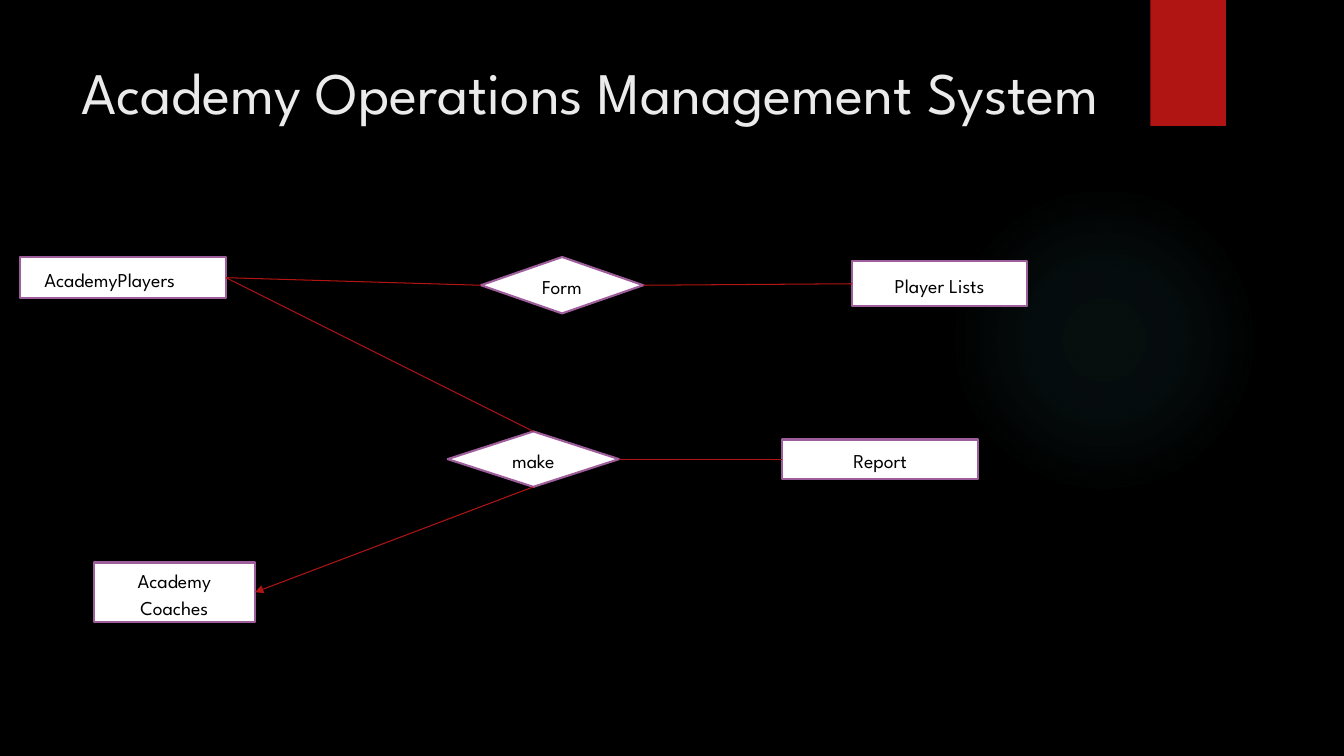
from dataclasses import dataclass

from lxml.etree import SubElement
from pptx import Presentation
from pptx.dml.color import RGBColor
from pptx.enum.shapes import MSO_CONNECTOR as Connector, MSO_SHAPE as Preset
from pptx.enum.text import MSO_ANCHOR as Anchor, MSO_AUTO_SIZE as AutoSize, PP_ALIGN as Align
from pptx.oxml import parse_xml
from pptx.oxml.ns import nsdecls, qn
from pptx.util import Inches, Pt

TOP, LEFT, BOTTOM, RIGHT = range(4)


@dataclass(frozen=True)
class Theme:
    font: str = "League Spartan"
    background: str = "000000"
    title: str = "EBEBEB"
    accent: str = "B01513"
    glow: str = "50B9C1"
    box_fill: str = "FFFFFF"
    box_line: str = "9E5E9B"
    box_text: str = "000000"
    title_size: float = 42
    box_size: float = 14
    box_line_width: float = 1.5
    link_width: float = 0.75


@dataclass(frozen=True)
class Node:
    text: str
    left: float
    top: float
    width: float
    height: float
    preset: Preset = Preset.RECTANGLE
    align: Align = Align.CENTER
    inset: float = 0.1


@dataclass(frozen=True)
class Link:
    start: str
    start_side: int
    end: str
    end_side: int
    arrow: bool = False


THEME = Theme()

NODES = [
    Node("AcademyPlayers", 0.2, 2.55, 2.04, 0.41, align=Align.LEFT, inset=0.24),
    Node("Academy Coaches", 0.93, 5.58, 1.6, 0.59),
    Node("Player Lists", 8.45, 2.59, 1.74, 0.45),
    Node("Form", 4.77, 2.55, 1.61, 0.56, Preset.DIAMOND),
    Node("make", 4.44, 4.28, 1.7, 0.55, Preset.DIAMOND),
    Node("Report", 7.76, 4.36, 1.94, 0.39),
]

LINKS = [
    Link("AcademyPlayers", RIGHT, "Form", LEFT),
    Link("AcademyPlayers", RIGHT, "make", TOP),
    Link("Form", RIGHT, "Player Lists", LEFT),
    Link("make", RIGHT, "Report", LEFT),
    Link("make", BOTTOM, "Academy Coaches", RIGHT, arrow=True),
]


def rgb(value: str) -> RGBColor:
    return RGBColor.from_string(value)


def write_text(frame, text: str, *, size: float, color: str, align: Align, anchor: Anchor):
    frame.word_wrap = True
    frame.auto_size = AutoSize.NONE
    frame.vertical_anchor = anchor
    para = frame.paragraphs[0]
    para.alignment = align
    span = para.add_run()
    span.text = text
    span.font.name = THEME.font
    span.font.size = Pt(size)
    span.font.color.rgb = rgb(color)
    return para


def add_plain_shape(page, preset: Preset, left: float, top: float, width: float,
                    height: float, color: str):
    shape = page.shapes.add_shape(
        preset, Inches(left), Inches(top), Inches(width), Inches(height))
    shape.shadow.inherit = False
    shape.fill.solid()
    shape.fill.fore_color.rgb = rgb(color)
    shape.line.fill.background()
    return shape


def add_glow(page) -> None:
    """Add a circle that fades from a faint centre to full transparency."""
    glow = add_plain_shape(page, Preset.OVAL, 9.41, 1.83, 3.08, 3.08, THEME.glow)
    stops = "".join(
        f'<a:gs pos="{position * 1000}"><a:srgbClr val="{THEME.glow}">'
        f'<a:alpha val="{opacity * 1000}"/></a:srgbClr></a:gs>'
        for position, opacity in ((0, 7), (36, 6), (69, 0)))
    gradient = parse_xml(
        f'<a:gradFill {nsdecls("a")}><a:gsLst>{stops}</a:gsLst><a:path path="circle">'
        '<a:fillToRect l="50000" t="50000" r="50000" b="50000"/></a:path></a:gradFill>')
    properties = glow.element.spPr
    properties.replace(properties.find(qn("a:solidFill")), gradient)


def add_node(page, node: Node):
    box = add_plain_shape(page, node.preset, node.left, node.top, node.width,
                          node.height, THEME.box_fill)
    box.line.color.rgb = rgb(THEME.box_line)
    box.line.width = Pt(THEME.box_line_width)
    box.text_frame.margin_left = Inches(node.inset)
    para = write_text(box.text_frame, node.text, size=THEME.box_size,
                      color=THEME.box_text, align=node.align, anchor=Anchor.MIDDLE)
    para.line_spacing = 1.15
    para.space_after = Pt(10)
    return box


def add_link(page, link: Link, boxes: dict) -> None:
    connector = page.shapes.add_connector(Connector.STRAIGHT, 0, 0, 0, 0)
    connector.begin_connect(boxes[link.start], link.start_side)
    connector.end_connect(boxes[link.end], link.end_side)
    connector.line.color.rgb = rgb(THEME.accent)
    connector.line.width = Pt(THEME.link_width)
    properties = connector.element.spPr
    if link.arrow:
        SubElement(properties.find(qn("a:ln")), qn("a:tailEnd"), type="triangle")
    SubElement(properties, qn("a:effectLst"))


def add_title(page, text: str) -> None:
    title = page.shapes.title
    title.left, title.top = Inches(0.71), Inches(0.5)
    title.width, title.height = Inches(10.79), Inches(1.53)
    write_text(title.text_frame, text, size=THEME.title_size, color=THEME.title,
               align=Align.LEFT, anchor=Anchor.TOP)


def main() -> None:
    deck = Presentation()
    deck.slide_width, deck.slide_height = Inches(13.33), Inches(7.5)
    page = deck.slides.add_slide(deck.slide_layouts.get_by_name("Title Only"))
    page.background.fill.solid()
    page.background.fill.fore_color.rgb = rgb(THEME.background)

    add_glow(page)
    add_plain_shape(page, Preset.RECTANGLE, 11.41, 0, 0.75, 1.25, THEME.accent)
    add_title(page, "Academy Operations Management System")
    boxes = {node.text: add_node(page, node) for node in NODES}
    for link in LINKS:
        add_link(page, link, boxes)
    deck.save("out.pptx")


if __name__ == "__main__":
    main()
